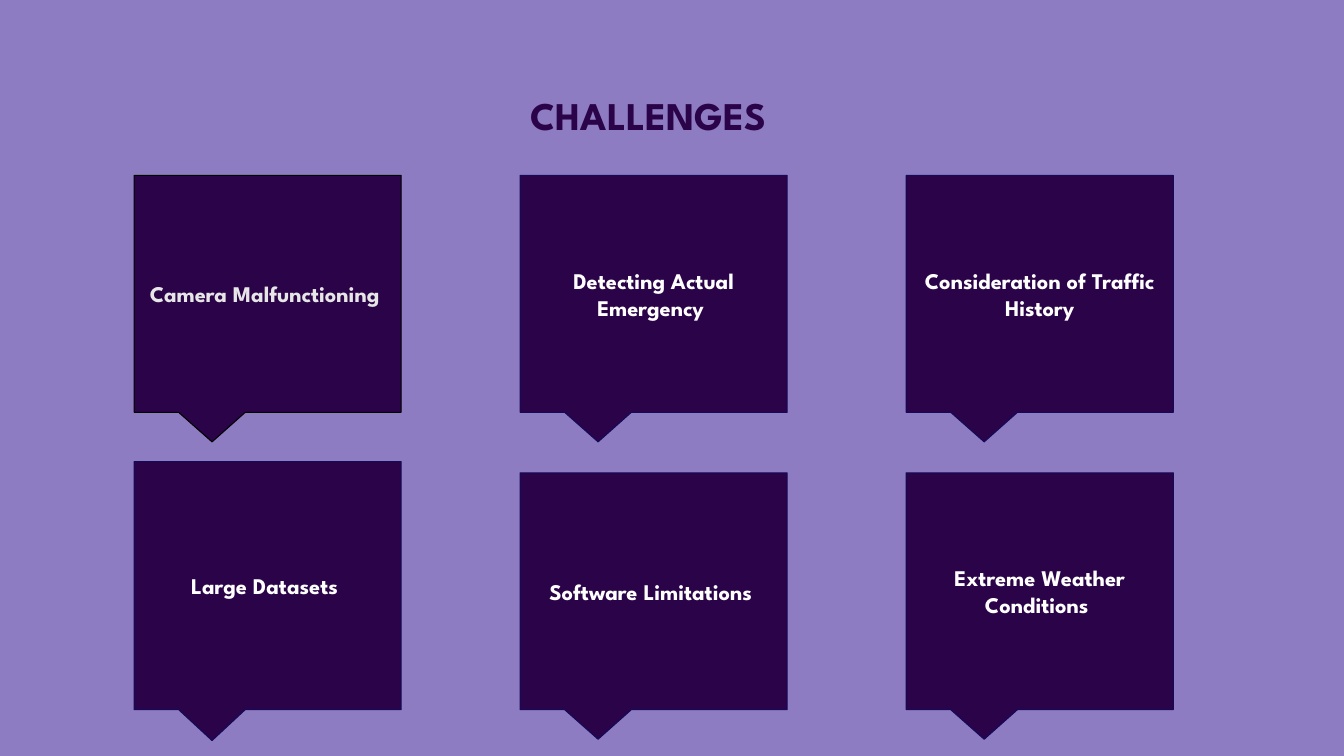
import dataclasses
import typing

import pptx
import pptx.dml.color
import pptx.enum.shapes
import pptx.enum.text
import pptx.util

Pt = pptx.util.Pt
Color = pptx.dml.color.RGBColor.from_string


@dataclasses.dataclass(frozen=True)
class Theme:
    background: str = "8E7CC3"
    dark: str = "2B0348"
    outline: str = "140A59"
    black: str = "000000"
    white: str = "FFFFFF"
    pale: str = "E7E6E6"
    font: str = "League Spartan"
    title_size: float = 28
    card_size: float = 16
    line_width: float = 0.75


THEME = Theme()
COLUMN_LEFT = 95.76
COLUMN_PITCH = 275.76
CARD_WIDTH = 190.8
CARD_HEIGHT = 169.2
TALL_HEIGHT = 177.12
ROW_BOTTOMS = (294.48, 506.88)
INSET = 7.2
CALLOUT_ADJUSTMENTS = (-0.208, 0.625, 0)


@dataclasses.dataclass(frozen=True)
class Card:
    text: str
    column: int
    row: int
    height: float = CARD_HEIGHT
    outline: str = THEME.outline
    text_color: str = THEME.white


CARDS = (
    Card("Camera Malfunctioning ", 0, 0, outline=THEME.black, text_color=THEME.pale),
    Card("Large Datasets ", 0, 1, height=TALL_HEIGHT),
    Card("Detecting Actual Emergency ", 1, 0),
    Card("Software Limitations ", 1, 1),
    Card("Consideration of Traffic History", 2, 0),
    Card("Extreme Weather Conditions ", 2, 1),
)


def set_attributes(target: typing.Any, values: dict[str, typing.Any]) -> None:
    for name, value in values.items():
        setattr(target, name, value)


def write_text(
    shape: typing.Any,
    text: str,
    size: float,
    color: str,
    anchor: pptx.enum.text.MSO_ANCHOR,
    vertical_inset: float,
    line_spacing: float = 1.0,
) -> None:
    set_attributes(shape.text_frame, {
        "word_wrap": True,
        "vertical_anchor": anchor,
        "margin_left": Pt(INSET),
        "margin_right": Pt(INSET),
        "margin_top": Pt(vertical_inset),
        "margin_bottom": Pt(vertical_inset),
    })
    paragraph = shape.text_frame.paragraphs[0]
    set_attributes(paragraph, {
        "alignment": pptx.enum.text.PP_ALIGN.CENTER,
        "line_spacing": line_spacing,
    })
    run = paragraph.add_run()
    run.text = text
    set_attributes(run.font, {"name": THEME.font, "size": Pt(size), "bold": True})
    run.font.color.rgb = Color(color)


def add_title(slide: typing.Any, text: str) -> None:
    shape = slide.shapes.add_textbox(Pt(334.8), Pt(65.52), Pt(264.24), Pt(52.56))
    write_text(shape, text, THEME.title_size, THEME.dark,
               pptx.enum.text.MSO_ANCHOR.TOP, INSET / 2, 0.9)


def add_card(slide: typing.Any, card: Card) -> None:
    shape = slide.shapes.add_shape(
        pptx.enum.shapes.MSO_SHAPE.ROUNDED_RECTANGULAR_CALLOUT,
        Pt(COLUMN_LEFT + card.column * COLUMN_PITCH),
        Pt(ROW_BOTTOMS[card.row] - card.height),
        Pt(CARD_WIDTH),
        Pt(card.height),
    )
    shape.shadow.inherit = False
    for index, value in enumerate(CALLOUT_ADJUSTMENTS):
        shape.adjustments[index] = value
    shape.fill.solid()
    shape.fill.fore_color.rgb = Color(THEME.dark)
    shape.line.color.rgb = Color(card.outline)
    shape.line.width = Pt(THEME.line_width)
    write_text(shape, card.text, THEME.card_size, card.text_color,
               pptx.enum.text.MSO_ANCHOR.MIDDLE, INSET)


def main() -> None:
    presentation = pptx.Presentation()
    set_attributes(presentation, {"slide_width": Pt(960), "slide_height": Pt(540)})
    slide = presentation.slides.add_slide(presentation.slide_layouts[6])
    slide.background.fill.solid()
    slide.background.fill.fore_color.rgb = Color(THEME.background)
    add_title(slide, "CHALLENGES ")
    for card in CARDS:
        add_card(slide, card)
    presentation.save("out.pptx")


if __name__ == "__main__":
    main()
